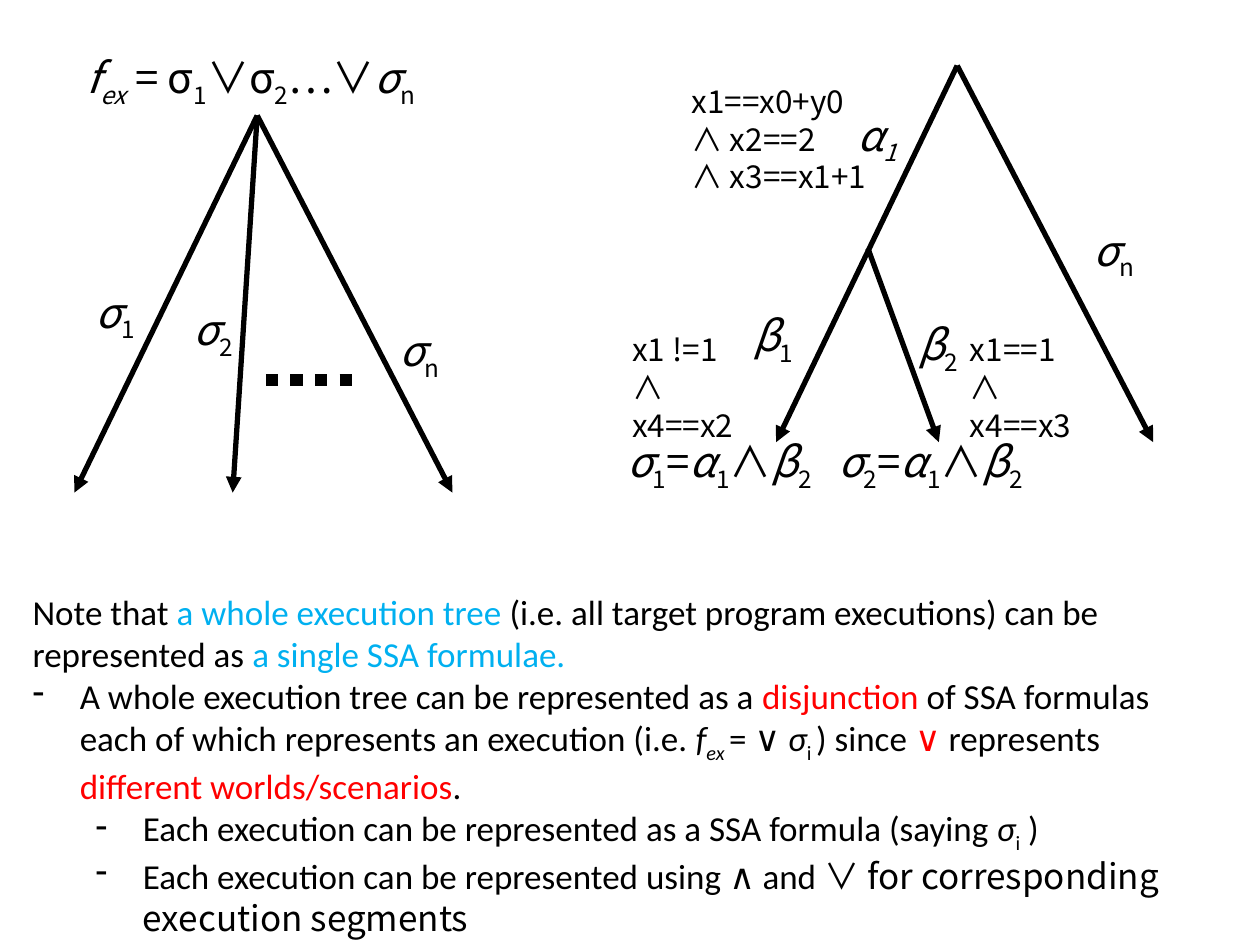
from lxml import etree
from pptx import Presentation
from pptx.dml.color import RGBColor
from pptx.enum.dml import MSO_LINE
from pptx.enum.shapes import MSO_CONNECTOR
from pptx.oxml.ns import qn
from pptx.util import Pt

BLACK = RGBColor(0x00, 0x00, 0x00)
RED = RGBColor(0xFF, 0x00, 0x00)
BLUE = RGBColor(0x00, 0xB0, 0xF0)
LINE = MSO_CONNECTOR.STRAIGHT
DOTS = MSO_LINE.ROUND_DOT
MATH = "Noto Sans CJK KR"
BODY = "Calibri"


class Deck:
    def __init__(self, wide, high):
        self.file = Presentation()
        self.file.slide_width = Pt(wide)
        self.file.slide_height = Pt(high)
        self.slide = self.file.slides.add_slide(self.file.slide_layouts[6])

    def line(self, start, end, width=3, dash=None, arrow=True):
        link = self.slide.shapes.add_connector(
            LINE, *(Pt(n) for n in (*start, *end)))
        link.line.color.rgb = BLACK
        link.line.width = Pt(width)
        if dash is not None:
            link.line.dash_style = dash
        if arrow:
            stroke = link.line._get_or_add_ln()
            etree.SubElement(stroke, qn("a:tailEnd"), type="triangle")
        etree.SubElement(link._element.spPr, qn("a:effectLst"))

    def box(self, left, top, wide, high):
        area = self.slide.shapes.add_textbox(
            Pt(left), Pt(top), Pt(wide), Pt(high))
        area.text_frame.word_wrap = True
        return area.text_frame

    def run(self, para, text, size, font, marks="", color=BLACK):
        part = para.add_run()
        part.text = text
        part.font.size = Pt(size)
        part.font.name = font
        part.font.italic = "i" in marks
        part.font.color.rgb = color
        if "s" in marks:
            part.font._element.set("baseline", "-25000")

    def term(self, left, top, runs, wide=48):
        para = self.box(left, top, wide, 29).paragraphs[0]
        para.space_before = Pt(4.8)
        for text, marks in runs:
            self.run(para, text, 24, MATH, marks)

    def code(self, left, top, wide, high, rows):
        frame = self.box(left, top, wide, high)
        for i, row in enumerate(rows):
            para = frame.add_paragraph() if i else frame.paragraphs[0]
            self.run(para, row, 18, MATH)

    def notes(self, left, top, wide, high, items):
        frame = self.box(left, top, wide, high)
        for i, (level, indent, runs) in enumerate(items):
            para = frame.add_paragraph() if i else frame.paragraphs[0]
            para.level = level
            if indent:
                props = para._p.get_or_add_pPr()
                props.set("marL", str(Pt(indent)))
                props.set("indent", str(Pt(-27)))
                etree.SubElement(props, qn("a:buChar"), char="-")
            for text, marks, color, font in runs:
                self.run(para, text, 20, font, marks, color)


def word(text, marks="", color=BLACK, font=BODY):
    return text, marks, color, font


def pair(sign, index, marks="s"):
    return [(sign, "i"), (index, marks)]


def sum_up(index):
    return [*pair("σ", index), ("=", ""), *pair("α", "1"),
            ("∧", ""), *pair("β", "2")]


NOTES = [
    (0, 0, [
        word("Note that "),
        word("a whole execution tree ", color=BLUE),
        word("(i.e. all target program executions) can be represented as "),
        word("a single SSA formulae.", color=BLUE)]),
    (0, 27, [
        word("A whole execution tree can be represented as a "),
        word("disjunction", color=RED),
        word(" of SSA formulas each of which represents an execution (i.e. "),
        word("f", "i"), word("ex ", "is"), word("= ∨ "),
        word("σ", "i"), word("i ", "s"), word(") since "),
        word("∨", color=RED), word(" represents "),
        word("different worlds/scenarios", color=RED), word(".")]),
    (1, 63, [
        word("Each execution can be represented as a SSA formula (saying "),
        word("σ", "i"), word("i", "s"), word(" )")]),
    (1, 63, [
        word("Each execution can be represented using ∧ and "),
        word("∨ for corresponding execution segments", font=MATH)]),
]


def main():
    deck = Deck(720, 540)

    root = (147, 66)
    for foot in (42.5, 133, 258.5):
        deck.line(root, (foot, 281.5))
    deck.line((152, 217), (202.5, 217), 7, DOTS, False)
    for left, top, index in ((47.5, 160, "1"), (103.7, 170, "2"),
                             (221, 182, "n"), (617.8, 124.5, "n")):
        deck.term(left, top, pair("σ", index))
    deck.term(42.5, 26, [
        *pair("f", "ex", "is"), (" = σ", ""), ("1", "s"), ("∨σ", ""),
        ("2", "s"), ("…∨", ""), *pair("σ", "n")], 227)

    peak = (547, 37.5)
    for start, foot in ((peak, 443.5), ((496, 142), 536.5), (peak, 659)):
        deck.line(start, (foot, 252.7))
    deck.term(483, 59, pair("α", "1", "is"))
    deck.term(423.4, 173.5, pair("β", "1"))
    deck.term(517.7, 178.5, pair("β", "2"))
    for left, index in ((351.4, "1"), (472, "2")):
        deck.term(left, 245.5, sum_up(index), 130)

    deck.notes(11.5, 334, 682.5, 225.4, NOTES)
    deck.code(388, 43.2, 121.7, 72.7, ["x1==x0+y0", "∧ x2==2", "∧ x3==x1+1"])
    for left, rows in ((354.2, ["x1 !=1", "∧ x4==x2"]),
                       (547.2, ["x1==1", "∧ x4==x3"])):
        deck.code(left, 185, 93.6, 51, rows)

    deck.file.save("out.pptx")


if __name__ == "__main__":
    main()
